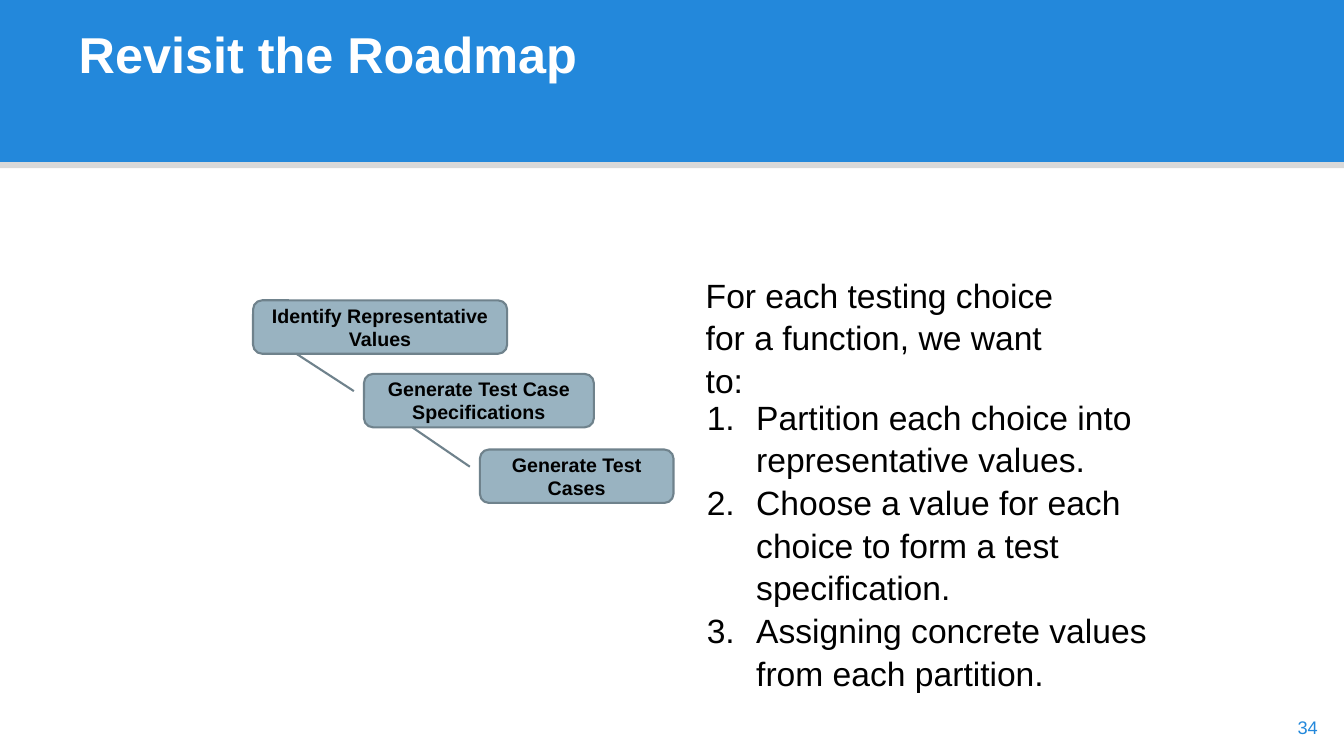
from lxml.etree import SubElement
from pptx import Presentation
from pptx.dml.color import RGBColor
from pptx.enum.shapes import MSO_CONNECTOR, MSO_SHAPE
from pptx.enum.text import MSO_ANCHOR, MSO_AUTO_SIZE, PP_ALIGN
from pptx.oxml.ns import qn
from pptx.util import Inches, Pt

BLUE = RGBColor(0x23, 0x88, 0xDB)
STRIP_GRAY = RGBColor(0xD9, 0xD9, 0xD9)
STEP_FILL = RGBColor(0x99, 0xB3, 0xC1)
STEP_LINE = RGBColor(0x6F, 0x82, 0x8C)
BLACK = RGBColor(0, 0, 0)
WHITE = RGBColor(0xFF, 0xFF, 0xFF)

STEP_HEIGHT = 0.53
STEPS = [
    ("Identify Representative Values", 2.51, 2.98, 2.52),
    ("Generate Test Case Specifications", 3.61, 3.71, 2.28),
    ("Generate Test Cases", 4.76, 4.46, 1.92),
]
INTRO = "For each testing choice for a function, we want to:"
GOALS = [
    "Partition each choice into representative values.",
    "Choose a value for each choice to form a test specification.",
    "Assigning concrete values from each partition.",
]


def place(shape, left, top, width, height):
    """Move and size a shape, in inches."""
    shape.left, shape.top = Inches(left), Inches(top)
    shape.width, shape.height = Inches(width), Inches(height)


def style_text(frame, size, color, bold=False, line_spacing=None):
    """Format every paragraph of a top-left text frame without side insets."""
    frame.word_wrap = True
    frame.auto_size = MSO_AUTO_SIZE.NONE
    frame.vertical_anchor = MSO_ANCHOR.TOP
    frame.margin_left = frame.margin_right = frame.margin_bottom = 0
    frame.margin_top = Inches(0.01)
    for paragraph in frame.paragraphs:
        paragraph.alignment = PP_ALIGN.LEFT
        paragraph.space_before = Pt(0)
        paragraph.line_spacing = line_spacing
        style_font(paragraph.font, size, color, bold)


def style_font(font, size, color, bold):
    """Set the face, size, weight and colour of a font."""
    font.name = "Arial"
    font.size = Pt(size)
    font.bold = bold
    font.color.rgb = color


def add_band(slide, top, height, color):
    """Put a full-width band behind the title."""
    band = slide.shapes.add_shape(
        MSO_SHAPE.RECTANGLE, 0, Inches(top), Inches(13.33), Inches(height))
    band.shadow.inherit = False
    band.fill.solid()
    band.fill.fore_color.rgb = color
    band.line.fill.background()
    slide.shapes.title.element.addprevious(band.element)


def add_label(slide, text, box, size, color, line_spacing=None):
    """Add a plain text box."""
    label = slide.shapes.add_textbox(*map(Inches, box))
    label.text_frame.text = text
    style_text(label.text_frame, size, color, line_spacing=line_spacing)


def add_step(slide, text, left, top, width):
    """Add a rounded roadmap step with its centred caption."""
    step = slide.shapes.add_shape(
        MSO_SHAPE.ROUNDED_RECTANGLE,
        Inches(left), Inches(top), Inches(width), Inches(STEP_HEIGHT))
    step.adjustments[0] = 0.17
    step.shadow.inherit = False
    step.fill.solid()
    step.fill.fore_color.rgb = STEP_FILL
    step.line.color.rgb = STEP_LINE
    step.line.width = Pt(1.5)
    frame = step.text_frame
    frame.text = text
    frame.word_wrap = True
    frame.vertical_anchor = MSO_ANCHOR.MIDDLE
    frame.margin_top = frame.margin_bottom = 0
    caption = frame.paragraphs[0]
    caption.alignment = PP_ALIGN.CENTER
    caption.line_spacing = Pt(16.5)
    style_font(caption.font, 14, BLACK, True)


def add_link(slide, upper_top, next_left, next_top):
    """Draw the slanted line from one step towards the next."""
    link = slide.shapes.add_connector(
        MSO_CONNECTOR.STRAIGHT,
        Inches(next_left - 0.67), Inches(upper_top + STEP_HEIGHT),
        Inches(next_left - 0.1), Inches(next_top + 0.17))
    link.line.color.rgb = STEP_LINE
    link.line.width = Pt(1.5)
    SubElement(link.element.spPr, qn("a:effectLst"))


def fill_goals(body):
    """Write the numbered goals into the body placeholder."""
    place(body, 6.99, 3.9, 4.8, 2.87)
    frame = body.text_frame
    frame.text = "\n".join(GOALS)
    for paragraph in frame.paragraphs:
        properties = paragraph._p.get_or_add_pPr()
        properties.set("marL", str(Inches(0.51)))
        properties.set("indent", str(-Inches(0.49)))
        SubElement(properties, qn("a:buFont"), typeface="+mj-lt")
        SubElement(properties, qn("a:buAutoNum"), type="arabicPeriod")
    style_text(frame, 24, BLACK, line_spacing=1.06)


def main():
    """Build the roadmap slide."""
    deck = Presentation()
    deck.slide_width, deck.slide_height = Inches(13.33), Inches(7.5)
    slide = deck.slides.add_slide(deck.slide_layouts[1])

    title = slide.shapes.title
    place(title, 0.78, 0.22, 11.78, 0.61)
    title.text_frame.text = "Revisit the Roadmap"
    style_text(title.text_frame, 36, WHITE, bold=True)
    add_band(slide, 0, 1.61, BLUE)
    add_band(slide, 1.61, 0.06, STRIP_GRAY)

    for step in STEPS:
        add_step(slide, *step)
    for upper, following in zip(STEPS, STEPS[1:]):
        add_link(slide, upper[2], following[1], following[2])

    add_label(slide, INTRO, (7, 2.69, 3.6, 1.23), 24, BLACK, 1.06)
    fill_goals(slide.placeholders[1])
    add_label(slide, "34", (12.87, 7.1, 0.34, 0.21), 13, BLUE)
    deck.save("out.pptx")


if __name__ == "__main__":
    main()
